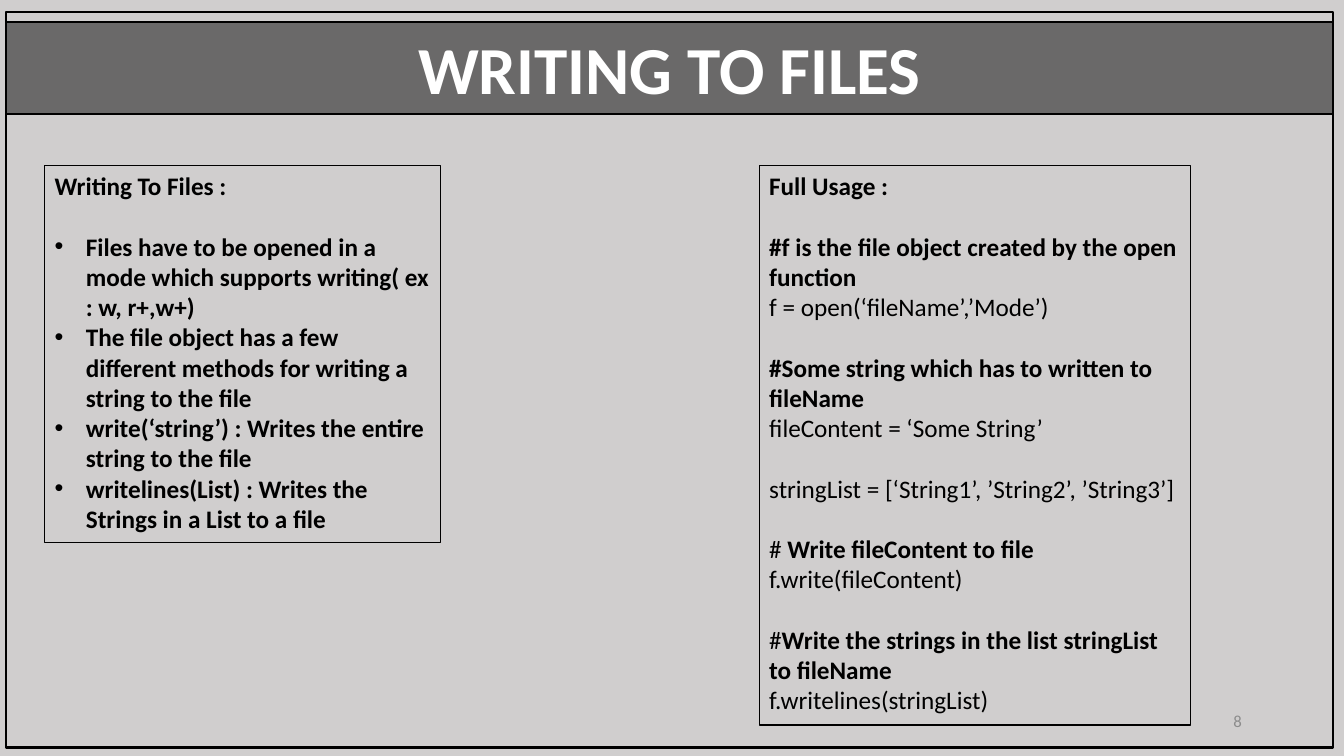
from lxml import etree
from pptx import Presentation
from pptx.dml.color import RGBColor
from pptx.enum.shapes import MSO_SHAPE
from pptx.enum.text import MSO_ANCHOR, MSO_AUTO_SIZE, PP_ALIGN
from pptx.oxml.ns import qn
from pptx.util import Cm, Pt

RECT = MSO_SHAPE.RECTANGLE
TOP, MIDDLE = MSO_ANCHOR.TOP, MSO_ANCHOR.MIDDLE
FIXED = MSO_AUTO_SIZE.NONE
LEFT, CENTER, RIGHT = PP_ALIGN.LEFT, PP_ALIGN.CENTER, PP_ALIGN.RIGHT
FONT = "Calibri"
BLACK, WHITE, GREY, PAPER = "000000", "FFFFFF", "8C8C8C", "D0CECE"
LINE_GAP = 21.6

FRAME = (0.15, 0.3, 33.45, 18.54)
BANNER = (0.15, 0.56, 33.45, 2.31)
NOTES = (1.12, 4.17, 9.98, 9.5)
USAGE = (19.13, 4.17, 10.87, 14.1)
NUMBER = (23.93, 17.65, 7.62, 1.02)

HEAD = "Writing To Files :"
POINTS = [
    "Files have to be opened in a mode which supports writing( ex : w, r+,w+)",
    "The file object has a few different methods for writing a string to the file",
    "write(‘string’) : Writes the entire string to the file",
    "writelines(List) : Writes the Strings in a List to a file",
]
STEPS = [
    ["*Full Usage :"],
    ["*#f is the file object created by the open function",
     "f = open(‘fileName’,’Mode’)"],
    ["*#Some string which has to written to fileName",
     "fileContent = ‘Some String’"],
    ["stringList = [‘String1’, ’String2’, ’String3’]"],
    ["# *Write fileContent to file", "f.write(fileContent)"],
    ["#*Write the strings in the list stringList to fileName",
     "f.writelines(stringList)"],
]


def tint(code):
    return RGBColor.from_string(code)


def place(shape, box):
    shape.left, shape.top, shape.width, shape.height = map(Cm, box)


def edge(shape, width):
    shape.line.color.rgb = tint(BLACK)
    shape.line.width = Pt(width)


def fit(shape, anchor=TOP):
    frame = shape.text_frame
    frame.word_wrap = True
    frame.auto_size = FIXED
    frame.vertical_anchor = anchor
    return frame


def write(frame, text, size=18, color=BLACK, align=LEFT, gap=0, dot=False):
    para = frame.paragraphs[0]
    if para.runs:
        para = frame.add_paragraph()
    para.alignment = align
    para.space_before = Pt(gap)
    para.space_after = Pt(0)
    props = para._p.get_or_add_pPr()
    inset = Cm(0.79) if dot else 0
    props.set("marL", str(inset))
    props.set("indent", str(-inset))
    if dot:
        etree.SubElement(props, qn("a:buFont"), typeface="Arial")
        etree.SubElement(props, qn("a:buChar"), char="•")
    else:
        etree.SubElement(props, qn("a:buNone"))
    for turn, part in enumerate(text.split("*")):
        if part:
            run = para.add_run()
            run.text = part
            font = run.font
            font.name, font.size, font.bold = FONT, Pt(size), turn % 2 == 1
            font.color.rgb = tint(color)


def add_frame(slide, box):
    shape = slide.shapes.add_shape(RECT, *map(Cm, box))
    shape.shadow.inherit = False
    shape.fill.background()
    edge(shape, 1.75)


def add_banner(shape, box):
    place(shape, box)
    shape.fill.solid()
    shape.fill.fore_color.rgb = tint(BLACK)
    shade = shape.fill._xPr.find(".//" + qn("a:srgbClr"))
    etree.SubElement(shade, qn("a:alpha"), val="49000")
    edge(shape, 1.75)
    write(fit(shape), "*WRITING TO FILES", size=48, color=WHITE, align=CENTER)


def add_notes(shape, box):
    place(shape, box)
    edge(shape, 0.75)
    frame = fit(shape)
    write(frame, "*" + HEAD)
    for rank, point in enumerate(POINTS):
        write(frame, "*" + point, gap=0 if rank else LINE_GAP, dot=True)


def add_usage(shape, box):
    place(shape, box)
    edge(shape, 0.75)
    frame = fit(shape)
    for step, lines in enumerate(STEPS):
        for rank, line in enumerate(lines):
            write(frame, line, gap=LINE_GAP if step and not rank else 0)


def add_number(slide, box):
    shape = slide.shapes.add_textbox(*map(Cm, box))
    write(fit(shape, MIDDLE), "8", size=12, color=GREY, align=RIGHT)


deck = Presentation()
deck.slide_width, deck.slide_height = Cm(33.87), Cm(19.05)
slide = deck.slides.add_slide(deck.slide_layouts[3])
slide.background.fill.solid()
slide.background.fill.fore_color.rgb = tint(PAPER)
title, notes, usage = slide.placeholders
add_frame(slide, FRAME)
add_banner(title, BANNER)
add_notes(notes, NOTES)
add_usage(usage, USAGE)
add_number(slide, NUMBER)
deck.save("out.pptx")
